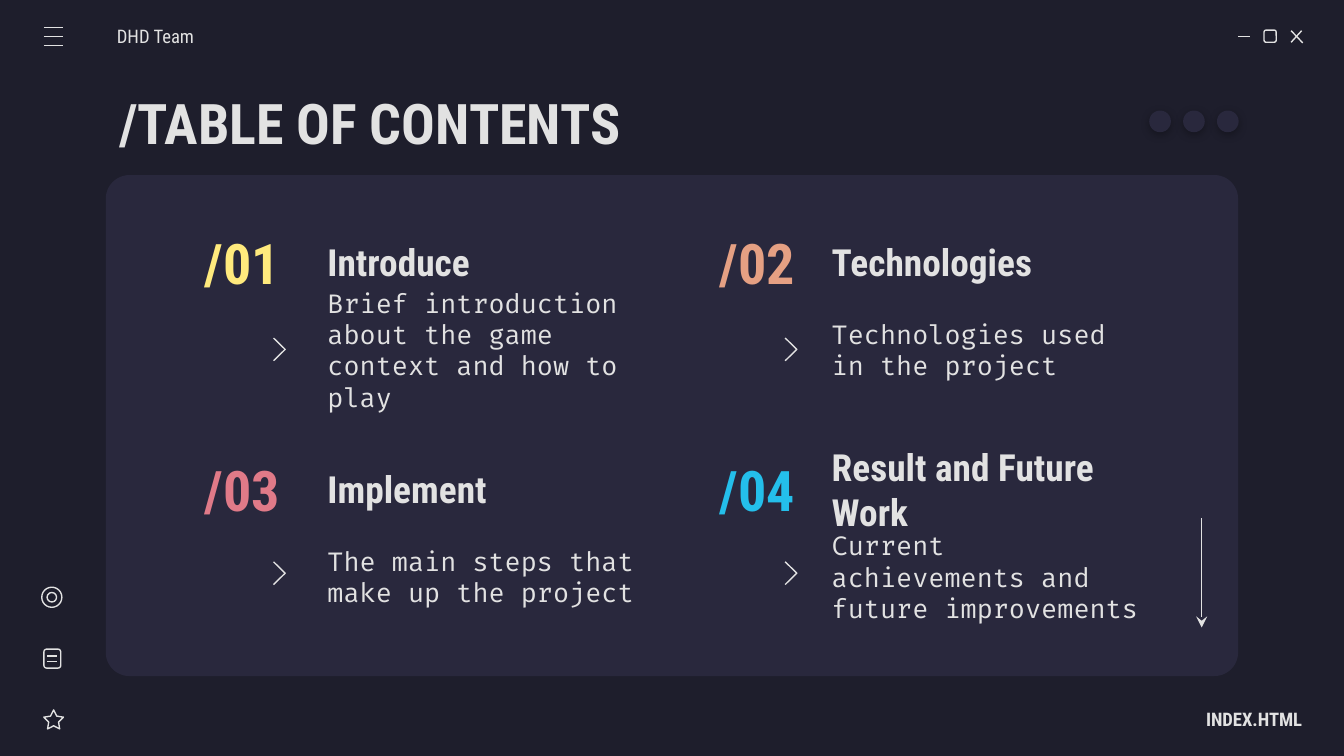
from lxml.etree import SubElement
from pptx import Presentation
from pptx.dml.color import RGBColor
from pptx.enum.shapes import MSO_CONNECTOR, MSO_SHAPE
from pptx.enum.text import MSO_ANCHOR, MSO_AUTO_SIZE, PP_ALIGN
from pptx.oxml.ns import qn
from pptx.util import Cm, Pt

COLORS = {
    "back": "1E1E2C",
    "panel": "29283D",
    "light": "E2E2E2",
    "yellow": "FFEA7D",
    "orange": "E5A083",
    "pink": "E07A88",
    "blue": "24BFEB",
    "shadow": "000000",
}
HEAD = "Roboto Condensed"
BODY = "Fira Code"
PAD = 0.25


def color(name):
    return RGBColor.from_string(COLORS[name])


class Deck:
    def __init__(self):
        self.prs = Presentation()
        self.prs.slide_width = Cm(25.4)
        self.prs.slide_height = Cm(14.29)
        self.slide = self.prs.slides.add_slide(self.prs.slide_layouts[5])
        self.shapes = self.slide.shapes
        fill = self.slide.background.fill
        fill.solid()
        fill.fore_color.rgb = color("back")

    def label(self, box, text, size, font=HEAD, tint="light", bold=False,
              align=PP_ALIGN.LEFT, left=PAD, right=PAD):
        frame = box.text_frame
        frame.word_wrap = True
        frame.auto_size = MSO_AUTO_SIZE.NONE
        frame.vertical_anchor = MSO_ANCHOR.MIDDLE
        frame.margin_left, frame.margin_right = Cm(left), Cm(right)
        frame.margin_top = frame.margin_bottom = Cm(PAD)
        para = frame.paragraphs[0]
        para.alignment = align
        run = para.add_run()
        run.text = text
        run.font.name = font
        run.font.size = Pt(size)
        run.font.bold = bold
        run.font.color.rgb = color(tint)

    def title(self, text, x, y, w, h):
        box = self.shapes.title
        box.left, box.top, box.width, box.height = Cm(x), Cm(y), Cm(w), Cm(h)
        self.label(box, text, 30, bold=True)

    def text(self, text, x, y, w, h, size, **style):
        box = self.shapes.add_textbox(Cm(x), Cm(y), Cm(w), Cm(h))
        self.label(box, text, size, **style)

    def stroke(self, item):
        item.line.color.rgb = color("light")
        item.line.width = Pt(0.75)

    def solid(self, kind, x, y, w, h):
        item = self.shapes.add_shape(kind, Cm(x), Cm(y), Cm(w), Cm(h))
        item.shadow.inherit = False
        item.fill.solid()
        item.fill.fore_color.rgb = color("panel")
        item.line.fill.background()
        return item

    def outline(self, kind, x, y, w, h):
        item = self.shapes.add_shape(kind, Cm(x), Cm(y), Cm(w), Cm(h))
        item.shadow.inherit = False
        item.fill.background()
        self.stroke(item)
        return item

    def line(self, x1, y1, x2, y2, arrow=False):
        item = self.shapes.add_connector(
            MSO_CONNECTOR.STRAIGHT, Cm(x1), Cm(y1), Cm(x2), Cm(y2))
        self.stroke(item)
        props = item._element.spPr
        if arrow:
            SubElement(props.find(qn("a:ln")), qn("a:tailEnd"), type="stealth")
        SubElement(props, qn("a:effectLst"))

    def chevron(self, x, y, w=0.22, h=0.43):
        pen = self.shapes.build_freeform(Cm(x), Cm(y))
        pen.add_line_segments(
            [(Cm(x + w), Cm(y + h / 2)), (Cm(x), Cm(y + h))], close=False)
        item = pen.convert_to_shape()
        item.shadow.inherit = False
        item.fill.background()
        self.stroke(item)

    def dot(self, x, y, size):
        item = self.solid(MSO_SHAPE.OVAL, x, y, size, size)
        effect = item._element.spPr.find(qn("a:effectLst"))
        shade = SubElement(effect, qn("a:outerShdw"), blurRad=str(Pt(4.5)),
                           dist=str(Pt(1.5)), dir="5400000", algn="bl", rotWithShape="0")
        tint = SubElement(shade, qn("a:srgbClr"), val=COLORS["shadow"])
        SubElement(tint, qn("a:alpha"), val="30000")

    def card(self, col, row, number, tint, head, body):
        num_x, text_x, mark_x = col
        y, mark_y = row
        self.text(head, text_x, y, 6.5, 1.42, 20, bold=True)
        self.text(number, num_x, y, 2.31, 1.42, 30, tint=tint, bold=True,
                  align=PP_ALIGN.CENTER)
        self.text(body, text_x, y + 1.42, 6.5, 1.9, 14, font=BODY)
        self.chevron(mark_x, mark_y)


def main():
    deck = Deck()
    panel = deck.solid(MSO_SHAPE.ROUNDED_RECTANGLE, 2, 3.31, 21.4, 9.47)
    panel.adjustments[0] = 0.047
    deck.title("/TABLE OF CONTENTS", 2, 1.5, 21.4, 1.6)

    deck.line(23.4, 0.69, 23.62, 0.69)
    deck.outline(MSO_SHAPE.ROUNDED_RECTANGLE, 23.89, 0.57, 0.23, 0.23)
    deck.line(24.4, 0.58, 24.62, 0.81)
    deck.line(24.6, 0.58, 24.4, 0.8)

    cols = [(3.43, 5.94, 5.17), (13.16, 15.47, 14.84)]
    rows = [(4.24, 6.39), (8.53, 10.62)]
    cards = [
        ("/01", "yellow", "Introduce",
         "Brief introduction about the game context and how to play"),
        ("/02", "orange", "Technologies", "Technologies used in the project"),
        ("/03", "pink", "Implement", "The main steps that make up the project"),
        ("/04", "blue", "Result and Future Work",
         "Current achievements and future improvements"),
    ]
    for i, card in enumerate(cards):
        deck.card(cols[i % 2], rows[i // 2], *card)

    deck.text("DHD Team", 2.21, 0.31, 2.97, 0.76, 10, left=0)
    deck.text("INDEX.HTML", 21.64, 13.21, 2.97, 0.76, 10, bold=True,
              align=PP_ALIGN.RIGHT, right=0)

    for i in range(3):
        y = 0.52 + 0.17 * i
        deck.line(0.83, y, 1.2, y)
        deck.dot(21.72 + 0.64 * i, 2.09, 0.41)

    star = deck.outline(MSO_SHAPE.STAR_5_POINT, 0.83, 13.42, 0.37, 0.36)
    star.adjustments[0] = 0.254
    deck.outline(MSO_SHAPE.ROUNDED_RECTANGLE, 0.83, 12.27, 0.32, 0.36)
    for y in (12.4, 12.5):
        deck.line(0.89, y, 1.08, y)
    for x, y, size in ((0.79, 11.1, 0.38), (0.89, 11.2, 0.18)):
        deck.outline(MSO_SHAPE.OVAL, x, y, size, size)
    deck.line(22.71, 9.8, 22.71, 11.86, arrow=True)

    deck.prs.save("out.pptx")


if __name__ == "__main__":
    main()
